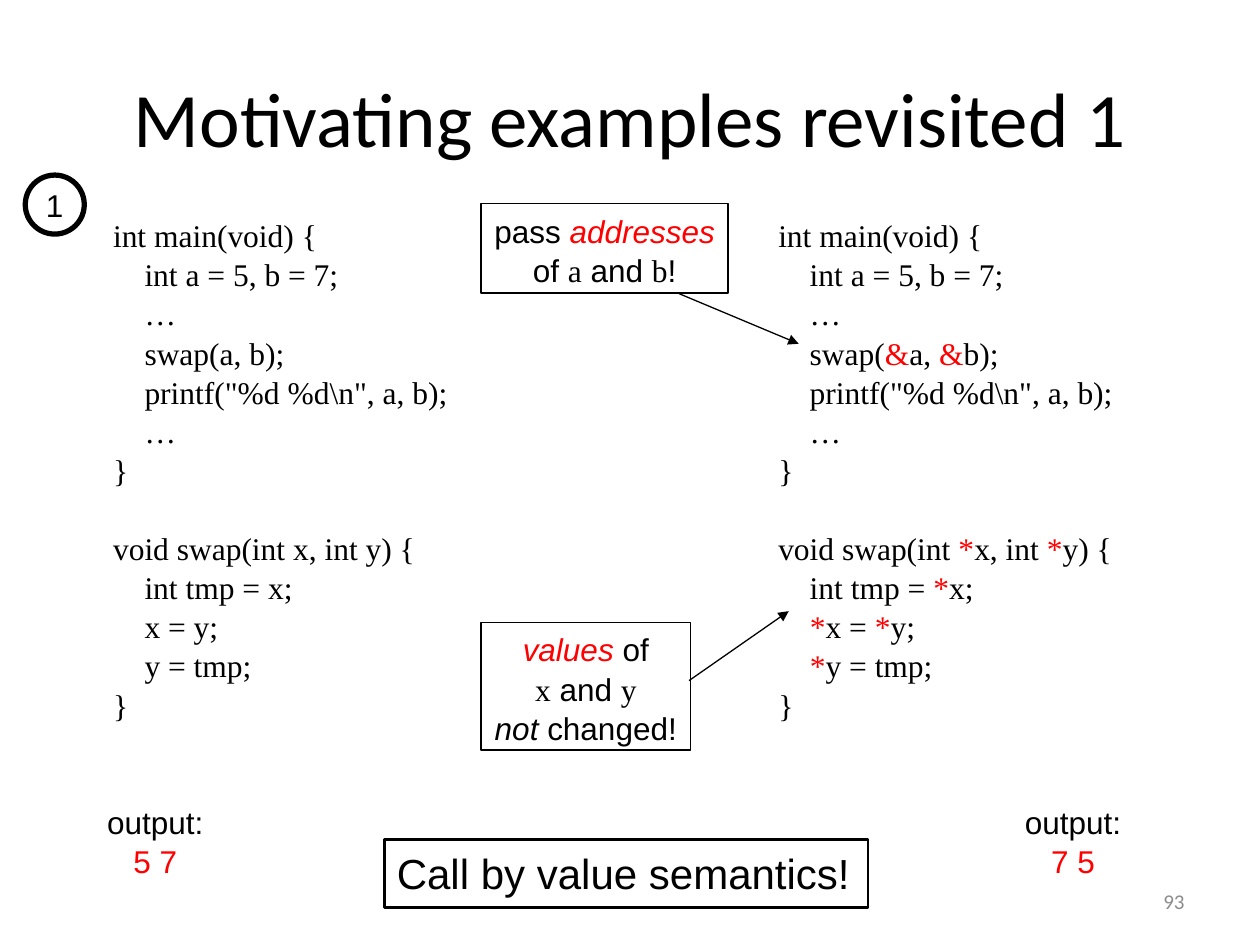
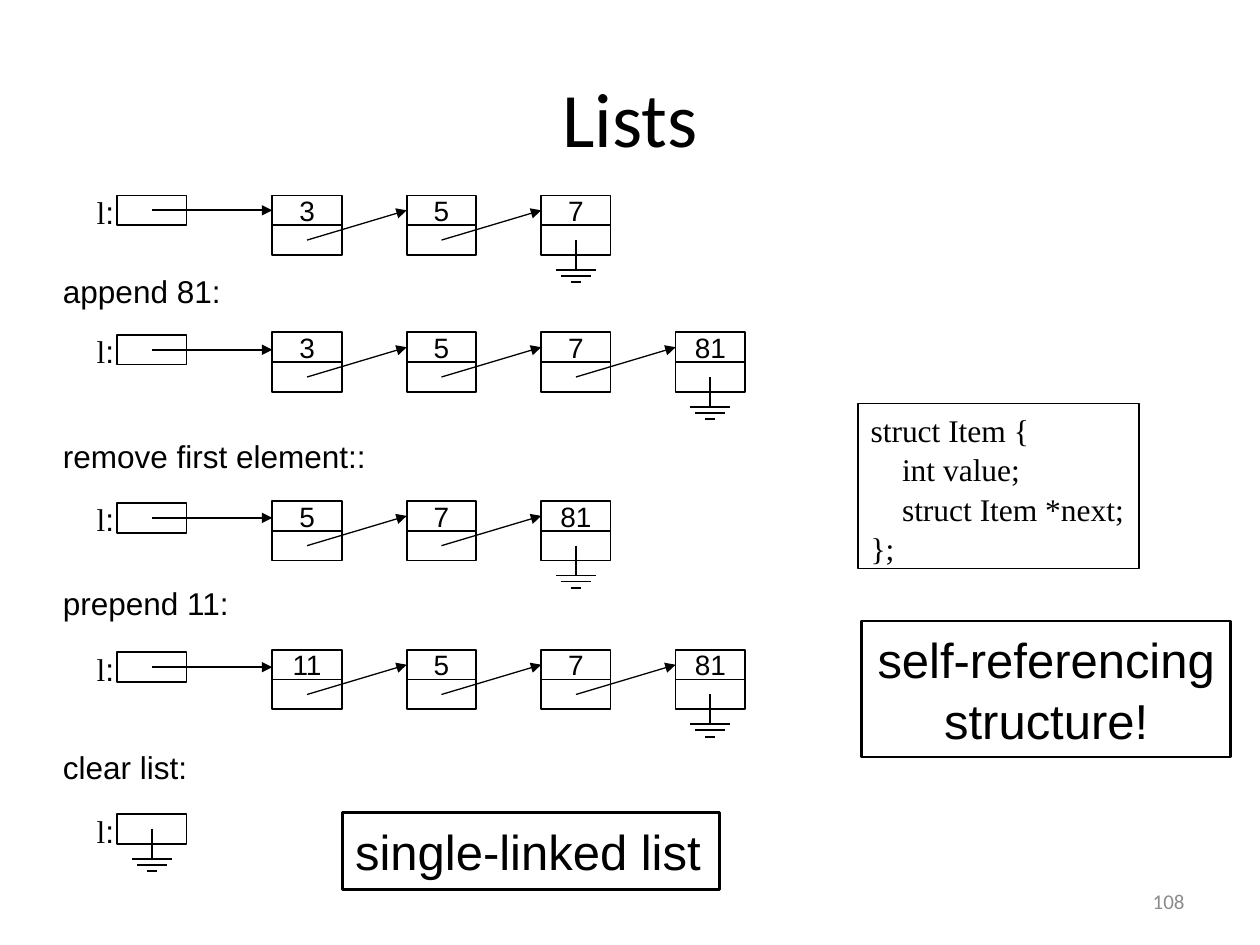
from dataclasses import dataclass, field
from itertools import groupby
from typing import Any, NamedTuple

from lxml.etree import SubElement
from pptx import Presentation
from pptx.dml.color import RGBColor
from pptx.enum.shapes import MSO_CONNECTOR, MSO_SHAPE
from pptx.enum.text import MSO_ANCHOR, PP_ALIGN
from pptx.oxml.ns import qn
from pptx.slide import Slide
from pptx.util import Cm, Pt


class Style(NamedTuple):
    """Look of a run of text."""
    size: float
    font: str = "Arial"
    color: str = "000000"
    italic: bool = False


@dataclass(frozen=True)
class Theme:
    """Colours, type sizes and line widths of both slides."""
    ink: str = "000000"
    paper: str = "FFFFFF"
    title: Style = Style(44, "Calibri")
    number: Style = Style(12, "Calibri", "8C8C8C")
    body: Style = Style(18)
    hot: Style = Style(18, color="FF0000")
    hot_italic: Style = Style(18, color="FF0000", italic=True)
    italic: Style = Style(18, italic=True)
    code: Style = Style(18, "Times New Roman")
    hot_code: Style = Style(18, "Times New Roman", "FF0000")
    cell: Style = Style(16)
    remark: Style = Style(24)
    message: Style = Style(28)
    thin: float = 0.75
    medium: float = 1
    thick: float = 1.5
    badge: float = 3
    line_spacing: float = 1.04
    code_gap: float = 21.6


THEME = Theme()


class Run(NamedTuple):
    """Piece of text in one style."""
    text: str
    style: Style = THEME.body


class Line(NamedTuple):
    """Paragraph with an optional gap above it, in points."""
    runs: list[Run]
    space_before: float = 0


class Area(NamedTuple):
    """Position and size in centimetres."""
    left: float
    top: float
    width: float
    height: float


class Point(NamedTuple):
    """Position in centimetres."""
    x: float
    y: float


@dataclass
class Box:
    """Text, outline and fill of one shape."""
    area: Area
    lines: list[Line] = field(default_factory=list)
    align: PP_ALIGN = PP_ALIGN.LEFT
    anchor: MSO_ANCHOR = MSO_ANCHOR.TOP
    border: float = 0
    filled: bool = False
    preset: MSO_SHAPE = MSO_SHAPE.RECTANGLE


class Chain(NamedTuple):
    """State of the linked list and the operation that follows."""
    top: float
    head_top: float
    values: list[str]
    caption: str
    caption_top: float


CELL = Point(1.4, 0.6)
HEAD_LEFT, NODE_LEFT, NODE_PITCH = 2.36, 5.49, 2.71
CAPTION_LEFT = 1.02
CHAINS = [
    Chain(3.94, 3.94, ["3", "5", "7"], "append 81:", 5.33),
    Chain(6.7, 6.75, ["3", "5", "7", "81"], "remove first element::", 8.66),
    Chain(10.1, 10.14, ["5", "7", "81"], "prepend 11:", 11.61),
    Chain(13.1, 13.15, ["11", "5", "7", "81"], "clear list:", 14.91),
]
EMPTY_HEAD_TOP = 16.41

MAIN_CODE = """int main(void) {
    int a = 5, b = 7;
    …
    swap(%sa, %sb);
    printf("%%d %%d\\n", a, b);
    …
}"""
SWAP_CODE = """void swap(int {0}x, int {0}y) {{
    int tmp = {0}x;
    {0}x = {0}y;
    {0}y = tmp;
}}"""
ITEM_CODE = """struct Item {
    int value;
    struct Item *next;
};"""


def apply(target: Any, values: dict[str, Any]) -> None:
    """Set each named attribute of the target."""
    for name, value in values.items():
        setattr(target, name, value)


def plain(text: str, style: Style = THEME.body) -> list[Line]:
    """Turn text into lines of one style."""
    return [Line([Run(row, style)]) for row in text.split("\n")]


def code(text: str, marks: str = "") -> list[Line]:
    """Turn program text into lines with the marked symbols in red."""
    return [
        Line([Run("".join(symbols), THEME.hot_code if marked else THEME.code)
              for marked, symbols in groupby(row, lambda symbol: symbol in marks)])
        for row in text.split("\n")
    ]


def swap_program(address: str = "", pointer: str = "") -> list[Line]:
    """Build the swap program with optional pointer operators."""
    marks = address + pointer
    first, *rest = code(SWAP_CODE.format(pointer), marks)
    main = code(MAIN_CODE % (address, address), marks)
    return [*main, first._replace(space_before=THEME.code_gap), *rest]


def draw_box(slide: Slide, box: Box) -> None:
    """Draw a text box or an outlined shape."""
    place = [Cm(length) for length in box.area]
    if box.border:
        shape = slide.shapes.add_shape(box.preset, *place)
        shape.shadow.inherit = False
        shape.line.color.rgb = RGBColor.from_string(THEME.ink)
        shape.line.width = Pt(box.border)
        if box.filled:
            shape.fill.solid()
            shape.fill.fore_color.rgb = RGBColor.from_string(THEME.paper)
        else:
            shape.fill.background()
    else:
        shape = slide.shapes.add_textbox(*place)
    left_aligned = box.align == PP_ALIGN.LEFT
    frame = shape.text_frame
    apply(frame, {
        "word_wrap": box.align != PP_ALIGN.CENTER,
        "vertical_anchor": box.anchor,
        "margin_left": Cm(0.25),
        "margin_right": Cm(0 if left_aligned else 0.25),
        "margin_top": Cm(0.13),
        "margin_bottom": Cm(0.13),
    })
    for index, line in enumerate(box.lines):
        paragraph = frame.add_paragraph() if index else frame.paragraphs[0]
        paragraph.alignment = box.align
        if box.anchor == MSO_ANCHOR.TOP:
            paragraph.line_spacing = THEME.line_spacing
        if line.space_before:
            paragraph.space_before = Pt(line.space_before)
        for piece in line.runs:
            run = paragraph.add_run()
            run.text = piece.text
            style = piece.style
            apply(run.font, {"name": style.font, "size": Pt(style.size), "italic": style.italic})
            run.font.color.rgb = RGBColor.from_string(style.color)


def draw_line(slide: Slide, start: Point, end: Point, width: float, arrow: bool = False) -> None:
    """Draw a straight line, with an arrowhead at its end if asked."""
    ends = [Cm(length) for length in (*start, *end)]
    connector = slide.shapes.add_connector(MSO_CONNECTOR.STRAIGHT, *ends)
    connector.line.color.rgb = RGBColor.from_string(THEME.ink)
    connector.line.width = Pt(width)
    if arrow:
        SubElement(connector.line._get_or_add_ln(), qn("a:tailEnd"), type="triangle")
    SubElement(connector._element.spPr, qn("a:effectLst"))


def add_slide(presentation: Any, title: str, number: str) -> Slide:
    """Add a slide with its title and number."""
    slide = presentation.slides.add_slide(presentation.slide_layouts[6])
    draw_box(slide, Box(Area(1.27, 0.76, 22.86, 3.18), plain(title, THEME.title),
                        PP_ALIGN.CENTER, MSO_ANCHOR.MIDDLE))
    draw_box(slide, Box(Area(18.21, 17.65, 5.92, 1.02), plain(number, THEME.number),
                        PP_ALIGN.RIGHT, MSO_ANCHOR.MIDDLE))
    return slide


def draw_cell(slide: Slide, left: float, top: float, text: str = "") -> None:
    """Draw one memory cell."""
    draw_box(slide, Box(Area(left, top, *CELL), plain(text, THEME.cell) if text else [],
                        PP_ALIGN.CENTER, MSO_ANCHOR.MIDDLE, THEME.medium, True))


def draw_head(slide: Slide, top: float) -> None:
    """Draw the list variable and its label."""
    draw_cell(slide, HEAD_LEFT, top)
    label = [Line([Run("l", THEME.code), Run(":")])]
    draw_box(slide, Box(Area(1.7, top - 0.21, 1, 1.02), label))


def draw_ground(slide: Slide, x: float, y: float) -> None:
    """Draw the null symbol hanging from a point."""
    base = y + CELL.y
    draw_line(slide, Point(x, y), Point(x, base), THEME.medium)
    for drop, half in ((0, 0.4), (0.12, 0.3), (0.25, 0.1)):
        draw_line(slide, Point(x - half, base + drop), Point(x + half, base + drop), THEME.medium)


def draw_chain(slide: Slide, chain: Chain) -> None:
    """Draw a list state with its caption below."""
    draw_head(slide, chain.head_top)
    head_y = chain.head_top + CELL.y / 2
    lefts = [NODE_LEFT + index * NODE_PITCH for index in range(len(chain.values))]
    for left, value in zip(lefts, chain.values):
        draw_cell(slide, left, chain.top, value)
        draw_cell(slide, left, chain.top + CELL.y, "")
    draw_line(slide, Point(HEAD_LEFT + CELL.x / 2, head_y), Point(NODE_LEFT, head_y),
              THEME.medium, True)
    link_y = chain.top + 1.5 * CELL.y
    for left, following in zip(lefts, lefts[1:]):
        draw_line(slide, Point(left + CELL.x / 2, link_y),
                  Point(following, chain.top + CELL.y / 2), THEME.thin, True)
    draw_ground(slide, lefts[-1] + CELL.x / 2, link_y)
    draw_box(slide, Box(Area(CAPTION_LEFT, chain.caption_top, 7, 1.02), plain(chain.caption)))


def build_examples(presentation: Any) -> None:
    """Build the slide that compares the two swap programs."""
    slide = add_slide(presentation, "Motivating examples revisited 1", "93")
    center = PP_ALIGN.CENTER
    addresses = [
        Line([Run("pass "), Run("addresses", THEME.hot_italic)]),
        Line([Run("of "), Run("a", THEME.code), Run(" and "), Run("b", THEME.code), Run("!")]),
    ]
    values = [
        Line([Run("values", THEME.hot_italic), Run(" of")]),
        Line([Run("x", THEME.code), Run(" and "), Run("y", THEME.code)]),
        Line([Run("not", THEME.italic), Run(" changed!")]),
    ]
    boxes = [
        Box(Area(0.51, 3.53, 1.19, 1.19), plain("1"), center, MSO_ANCHOR.MIDDLE,
            THEME.badge, True, MSO_SHAPE.OVAL),
        Box(Area(7.75, 16.92, 9.75, 1.37), plain("Call by value semantics!", THEME.remark),
            border=THEME.thick),
        Box(Area(9.7, 4.11, 4.98, 1.8), addresses, center, border=THEME.thin),
        Box(Area(9.7, 12.55, 4.22, 2.57), values, center, border=THEME.thin),
    ]
    for left, program in ((2.03, swap_program()), (15.44, swap_program("&", "*"))):
        boxes.append(Box(Area(left, 4.19, 7.6, 10.95), program))
    for left, result in ((1.9, "5 7"), (20.4, "7 5")):
        output = plain("output:") + plain(result, THEME.hot)
        boxes.append(Box(Area(left, 16.02, 2.46, 1.78), output, center))
    for box in boxes:
        draw_box(slide, box)
    draw_line(slide, Point(13.69, 5.92), Point(16.1, 6.93), THEME.thin, True)
    draw_line(slide, Point(13.89, 13.72), Point(15.9, 12.32), THEME.thin, True)


def build_lists(presentation: Any) -> None:
    """Build the slide that shows the linked list operations."""
    slide = add_slide(presentation, "Lists", "108")
    for chain in CHAINS:
        draw_chain(slide, chain)
    draw_head(slide, EMPTY_HEAD_TOP)
    draw_ground(slide, HEAD_LEFT + CELL.x / 2, EMPTY_HEAD_TOP + CELL.y / 2)
    draw_box(slide, Box(Area(17.3, 8.13, 5.66, 3.33), code(ITEM_CODE), border=THEME.thin))
    draw_box(slide, Box(Area(6.91, 16.38, 7.59, 1.55),
                        plain("single-linked list", THEME.message), border=THEME.thick))
    draw_box(slide, Box(Area(17.37, 12.52, 7.44, 2.74),
                        plain("self-referencing\nstructure!", THEME.message),
                        PP_ALIGN.CENTER, border=THEME.thick))


def main() -> None:
    """Build and save the presentation."""
    presentation = Presentation()
    apply(presentation, {"slide_width": Cm(25.4), "slide_height": Cm(19.05)})
    build_examples(presentation)
    build_lists(presentation)
    presentation.save("out.pptx")


if __name__ == "__main__":
    main()
